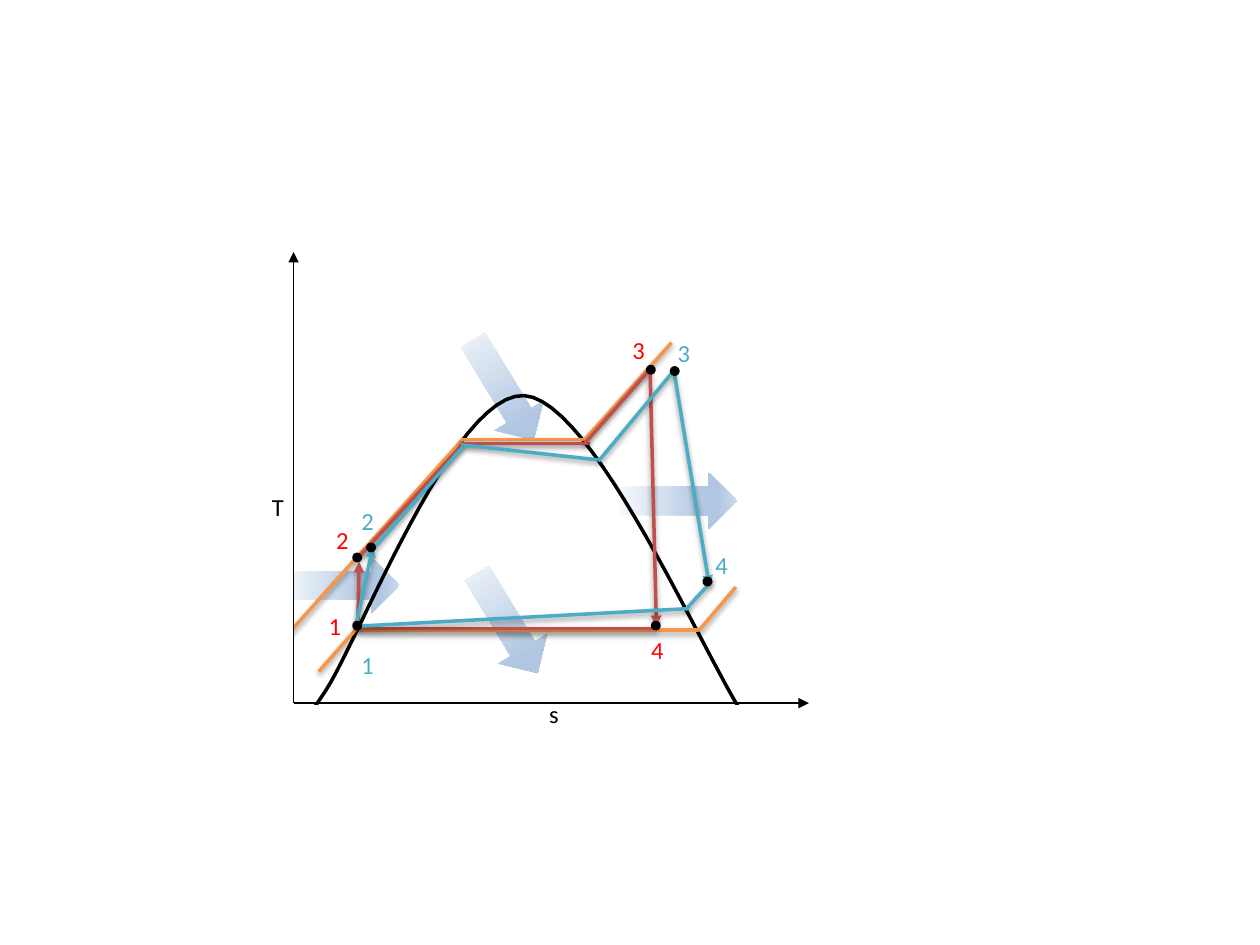
from copy import deepcopy

from lxml import etree
from pptx import Presentation
from pptx.dml.color import RGBColor
from pptx.enum.shapes import MSO_CONNECTOR, MSO_SHAPE
from pptx.enum.text import MSO_AUTO_SIZE
from pptx.oxml.ns import qn
from pptx.util import Inches, Pt

STRAIGHT = MSO_CONNECTOR.STRAIGHT
ARROW = MSO_SHAPE.RIGHT_ARROW
RECTANGLE = MSO_SHAPE.RECTANGLE
OVAL = MSO_SHAPE.OVAL
FIT_TEXT = MSO_AUTO_SIZE.SHAPE_TO_FIT_TEXT

BLACK = RGBColor(0, 0, 0)
WHITE = RGBColor(255, 255, 255)
RED = RGBColor(255, 0, 0)
ORANGE = RGBColor(0xF7, 0x96, 0x46)
BRICK = RGBColor(0xC0, 0x50, 0x4D)
TEAL = RGBColor(0x4B, 0xAC, 0xC6)
FLOW_STOPS = [
    (0, RGBColor(0xF6, 0xF9, 0xFC)),
    (0.74, RGBColor(0xB0, 0xC6, 0xE1)),
    (0.83, RGBColor(0xB0, 0xC6, 0xE1)),
    (1, RGBColor(0xCA, 0xD9, 0xEB)),
]

# The slide is a grid of 100 columns by 75 rows; all positions are in cells.
COLUMNS, ROWS = 100, 75
CELL = Inches(0.1)
FLOW_SIZE = (9.3, 4.5)
DOT = 0.5
LABEL_HEIGHT = 3.4

FLOW_ARROWS = [(49.2, 37.5, 0), (22.4, 44.2, 0), (35.3, 28.7, 58.7), (35.6, 47.2, 58.7)]

DOME_START = (25.3, 56)
DOME_CURVES = [
    [(24.2, 57.5), (23, 59), (25.8, 54.9)],
    [(28.5, 50.8), (36, 31.1), (41.6, 31.4)],
    [(47.1, 31.7), (56, 52.3), (59.1, 56.9)],
    [(62.3, 61.5), (60.6, 59.1), (60.6, 58.9)],
]

HIGH_ISOBAR_FOOT = ((20.9, 52.5), (36.7, 34.9))
MASKS = [(18.9, 43.9, 4.3, 10.5), (22, 56.1, 41.1, 5)]
ORIGIN = (23.3, 55.8)
AXIS_ENDS = [(23.3, 20), (64.2, 55.8)]

# Start, end, whether the line ends in an arrowhead
ISOBARS = [
    ((28.5, 50), (55.5, 50), False),
    ((36.6, 34.9), (46.6, 34.9), False),
    ((25.3, 53.3), (28.3, 49.9), False),
    ((55.5, 50), (58.4, 46.6), False),
    ((46.4, 34.9), (53.3, 27.2), False),
]
IDEAL_CYCLE = [
    ((28.4, 49.9), (28.5, 44.6), True),
    ((28.3, 49.9), (52.2, 49.9), False),
    ((28.3, 44.4), (36.7, 35.3), False),
    ((36.6, 35.2), (46.8, 35.2), False),
    ((46.4, 35.2), (51.6, 29.3), False),
    ((51.6, 29.6), (52.1, 49.7), True),
]
REAL_CYCLE = [
    ((28.2, 49.9), (29.6, 43.4), True),
    ((53.5, 29.5), (56.3, 46.5), True),
    ((36.6, 35.3), (47.5, 36.5), False),
    ((47.5, 36.6), (53.5, 29.4), False),
    ((54.4, 48.4), (56.5, 46.1), False),
    ((28.4, 49.7), (54.7, 48.3), False),
    ((29.6, 43.6), (36.7, 35.5), False),
]
STATE_POINTS = [(51.4, 29.1), (55.9, 45.9), (51.8, 49.4), (28.1, 49.4),
                (28.1, 44), (29.2, 43.2), (53.3, 29.2)]

LABELS = [
    ("T", 20.6, 38.6, 3.3, BLACK), ("s", 42.6, 55, 3.3, BLACK),
    ("1", 25.1, 48, 2.5, RED), ("2", 25.7, 41.2, 2.5, RED),
    ("3", 49.2, 26.1, 2.5, RED), ("4", 50.7, 49.9, 2.5, RED),
    ("1", 27.7, 51.1, 2.5, TEAL), ("2", 27.7, 39.7, 2.5, TEAL),
    ("3", 52.8, 26.3, 2.5, TEAL), ("4", 55.8, 43.2, 2.5, TEAL),
]


def cells(*values):
    return [round(value * CELL) for value in values]


def add_flow_arrow(shapes, left, top, rotation):
    arrow = shapes.add_shape(ARROW, *cells(left, top, *FLOW_SIZE))
    arrow.rotation = rotation
    arrow.shadow.inherit = False
    arrow.line.fill.background()
    arrow.fill.gradient()
    arrow.fill.gradient_angle = 0
    stop_list = arrow.element.spPr.find(".//" + qn("a:gsLst"))
    while len(stop_list) < len(FLOW_STOPS):
        stop_list.append(deepcopy(stop_list[-1]))
    for stop, (position, colour) in zip(arrow.fill.gradient_stops, FLOW_STOPS):
        stop.position = position
        stop.color.rgb = colour


def bezier_points(start, controls, steps=24):
    """Points along a cubic curve, without its start."""
    weights = (1, 3, 3, 1)
    anchors = [start, *controls]
    for step in range(1, steps + 1):
        t = step / steps
        yield cells(*(
            sum(weight * (1 - t) ** (3 - i) * t ** i * anchor[axis]
                for i, (weight, anchor) in enumerate(zip(weights, anchors)))
            for axis in (0, 1)))


def add_dome(shapes):
    builder = shapes.build_freeform(*cells(*DOME_START))
    start = DOME_START
    for controls in DOME_CURVES:
        builder.add_line_segments(list(bezier_points(start, controls)), close=False)
        start = controls[-1]
    dome = builder.convert_to_shape()
    dome.shadow.inherit = False
    dome.fill.background()
    dome.line.color.rgb = BLACK
    dome.line.width = Pt(2)


def add_line(shapes, start, end, colour, arrowhead=False, width=2, shadow=True):
    line = shapes.add_connector(STRAIGHT, *cells(*start, *end))
    line.line.color.rgb = colour
    line.line.width = Pt(width)
    properties = line.element.spPr
    if arrowhead:
        etree.SubElement(properties.find(qn("a:ln")), qn("a:tailEnd"), type="triangle")
    effects = etree.SubElement(properties, qn("a:effectLst"))
    if shadow:
        outer = etree.SubElement(effects, qn("a:outerShdw"), blurRad="40000",
                                 dist="20000", dir="5400000", rotWithShape="0")
        shade = etree.SubElement(outer, qn("a:srgbClr"), val=str(BLACK))
        etree.SubElement(shade, qn("a:alpha"), val="38000")


def add_solid(shapes, kind, box, colour):
    solid = shapes.add_shape(kind, *cells(*box))
    solid.shadow.inherit = False
    solid.fill.solid()
    solid.fill.fore_color.rgb = colour
    solid.line.color.rgb = colour
    solid.line.width = Pt(2)


def add_label(shapes, text, left, top, width, colour):
    frame = shapes.add_textbox(*cells(left, top, width, LABEL_HEIGHT)).text_frame
    frame.word_wrap = True
    frame.auto_size = FIT_TEXT
    run = frame.paragraphs[0].add_run()
    run.text = text
    run.font.name = "Calibri"
    run.font.size = Pt(14)
    run.font.color.rgb = colour


def main():
    deck = Presentation()
    deck.slide_width, deck.slide_height = cells(COLUMNS, ROWS)
    shapes = deck.slides.add_slide(deck.slide_layouts[6]).shapes

    for flow in FLOW_ARROWS:
        add_flow_arrow(shapes, *flow)
    add_dome(shapes)
    add_line(shapes, *HIGH_ISOBAR_FOOT, ORANGE)
    for mask in MASKS:
        add_solid(shapes, RECTANGLE, mask, WHITE)
    for end in AXIS_ENDS:
        add_line(shapes, ORIGIN, end, BLACK, True, width=0.75, shadow=False)
    for colour, lines in ((ORANGE, ISOBARS), (BRICK, IDEAL_CYCLE), (TEAL, REAL_CYCLE)):
        for start, end, arrowhead in lines:
            add_line(shapes, start, end, colour, arrowhead)
    for point in STATE_POINTS:
        add_solid(shapes, OVAL, (*point, DOT, DOT), BLACK)
    for label in LABELS:
        add_label(shapes, *label)

    deck.save("out.pptx")


if __name__ == "__main__":
    main()
